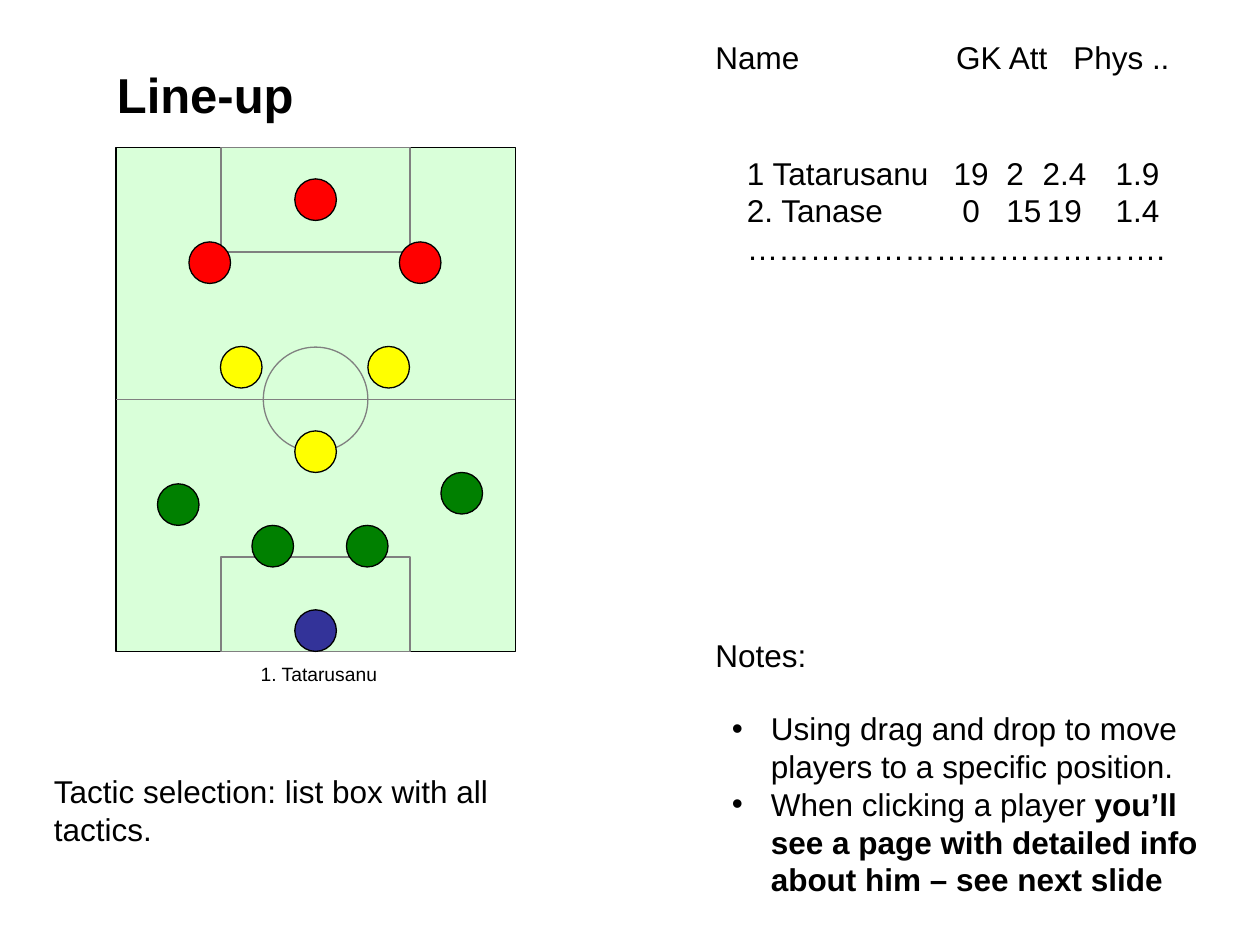
from lxml import etree
from pptx import Presentation
from pptx.dml.color import RGBColor
from pptx.enum.shapes import MSO_CONNECTOR, MSO_SHAPE
from pptx.oxml.ns import qn
from pptx.util import Inches, Pt

BLACK, GRAY, GRASS = "000000", "808080", "D9FFD9"
RED, YELLOW, GREEN, BLUE = "FF0000", "FFFF00", "008000", "333399"
DOT = 0.33

# Left and top of each player, from the corner of the pitch
PLAYERS = {
    RED: [(0.58, 0.75), (2.25, 0.75), (1.42, 0.25)],
    YELLOW: [(0.83, 1.58), (2, 1.58), (1.42, 2.25)],
    GREEN: [(2.58, 2.58), (1.83, 3), (1.08, 3), (0.33, 2.67)],
    BLUE: [(1.42, 3.67)],
}


def rgb(code):
    return RGBColor.from_string(code)


def add_tabs(para, stops):
    """Set tab stops given as (inches, alignment) pairs."""
    tabs = etree.SubElement(para._p.get_or_add_pPr(), qn("a:tabLst"))
    for pos, side in stops:
        etree.SubElement(tabs, qn("a:tab"), pos=str(Inches(pos)), algn=side)


def add_bullet(para, indent=0.31):
    props = para._p.get_or_add_pPr()
    props.set("marL", str(Inches(indent)))
    props.set("indent", str(-Inches(indent)))
    etree.SubElement(props, qn("a:buFont"), typeface="Arial")
    etree.SubElement(props, qn("a:buChar"), char="•")


def add_text(slide, box, lines, size=18, bold=False, tabs=(), bullet=False):
    """Add a text box; a line is a string or a list of (text, bold) runs."""
    frame = slide.shapes.add_textbox(*map(Inches, box)).text_frame
    frame.word_wrap = True
    for i, line in enumerate(lines):
        para = frame.add_paragraph() if i else frame.paragraphs[0]
        if bullet:
            add_bullet(para)
        if tabs:
            add_tabs(para, tabs)
        for words, heavy in [(line, bold)] if isinstance(line, str) else line:
            run = para.add_run()
            run.text = words
            font = run.font
            font.name, font.size, font.bold = "Arial", Pt(size), heavy
            font.color.rgb = rgb(BLACK)


def add_form(slide, kind, box, fill=None, line=BLACK):
    form = slide.shapes.add_shape(kind, *map(Inches, box))
    form.shadow.inherit = False
    if fill:
        form.fill.solid()
        form.fill.fore_color.rgb = rgb(fill)
    else:
        form.fill.background()
    form.line.color.rgb = rgb(line)
    form.line.width = Pt(0.75)
    return form


def add_pitch(slide, left, top, width, height):
    rect, oval = MSO_SHAPE.RECTANGLE, MSO_SHAPE.OVAL
    field = add_form(slide, rect, (left, top, width, height), GRASS)

    mid = top + height / 2
    half = slide.shapes.add_connector(
        MSO_CONNECTOR.STRAIGHT,
        *map(Inches, (left, mid, left + width, mid)))
    half.begin_connect(field, 1)
    half.end_connect(field, 3)
    half.line.color.rgb = rgb(GRAY)
    half.line.width = Pt(0.75)
    etree.SubElement(half._element.spPr, qn("a:effectLst"))

    area, low, high, ring = 1.5, 0.75, 0.83, 0.83
    side = left + (width - area) / 2
    add_form(slide, rect, (side, top + height - low, area, low), line=GRAY)
    add_form(slide, rect, (side, top, area, high), line=GRAY)
    add_form(slide, oval,
             (left + (width - ring) / 2, mid - ring / 2, ring, ring), line=GRAY)

    for color, spots in PLAYERS.items():
        for x, y in spots:
            add_form(slide, oval, (left + x, top + y, DOT, DOT), color)


def add_lineup(slide, left, top):
    add_text(slide, (left + 0.5, top, 3.5, 0.57), ["Line-up"],
             size=28, bold=True)
    add_pitch(slide, left + 0.59, top + 0.71, 3.17, 4)
    add_text(slide, (left + 1.64, top + 4.75, 2, 0.29), ["1. Tatarusanu"],
             size=11)
    add_text(slide, (left, top + 5.62, 4, 0.7),
             ["Tactic selection: list box with all tactics."])


def add_roster(slide, left, top):
    add_text(slide, (left, top, 3.83, 0.4), ["Name\tGK\tAtt\tPhys .."],
             tabs=[(1.91, "l"), (2.33, "l"), (2.84, "l")])
    add_text(slide, (left + 0.25, top + 0.92, 3.67, 1),
             ["1 Tatarusanu\t19\t2\t2.4\t1.9",
              "2. Tanase\t0\t15\t19\t1.4",
              "………………………………….",],
             tabs=[(1.78, "ctr"), (2.06, "l"), (2.52, "ctr"), (3.1, "ctr")])


def add_notes(slide, left, top):
    add_text(slide, (left, top, 1.75, 0.4), ["Notes:"])
    add_text(slide, (left + 0.13, top + 0.58, 4.13, 1.9),
             ["Using drag and drop to move players to a specific position.",
              [("When clicking a player ", False),
               ("you’ll see a page with detailed info about him"
                " – see next slide", True)]],
             bullet=True)


def main():
    deck = Presentation()
    deck.slide_width, deck.slide_height = Inches(10), Inches(7.5)
    slide = deck.slides.add_slide(deck.slide_layouts[6])
    add_lineup(slide, 0.33, 0.46)
    add_roster(slide, 5.58, 0.25)
    add_notes(slide, 5.58, 5)
    deck.save("out.pptx")


if __name__ == "__main__":
    main()
